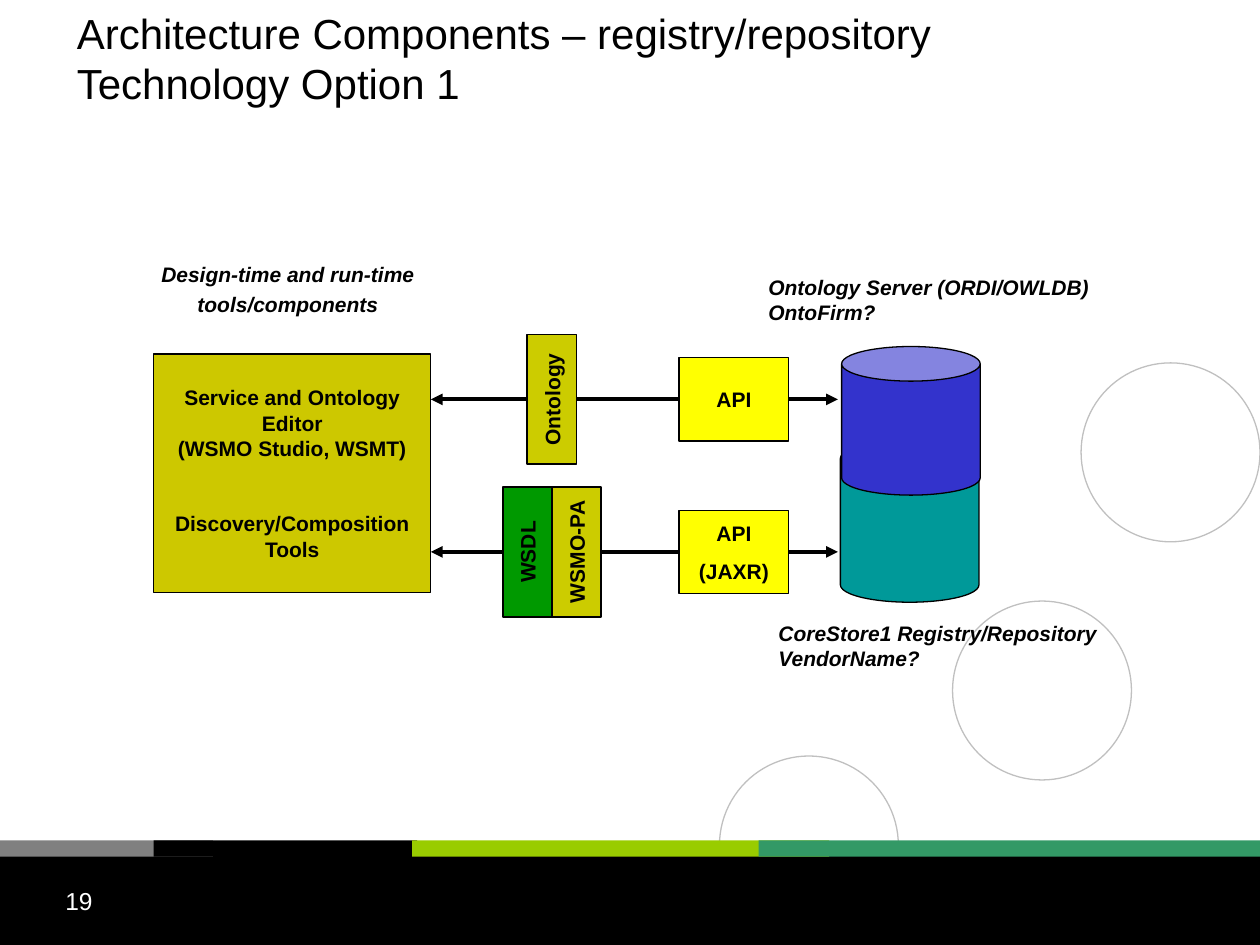
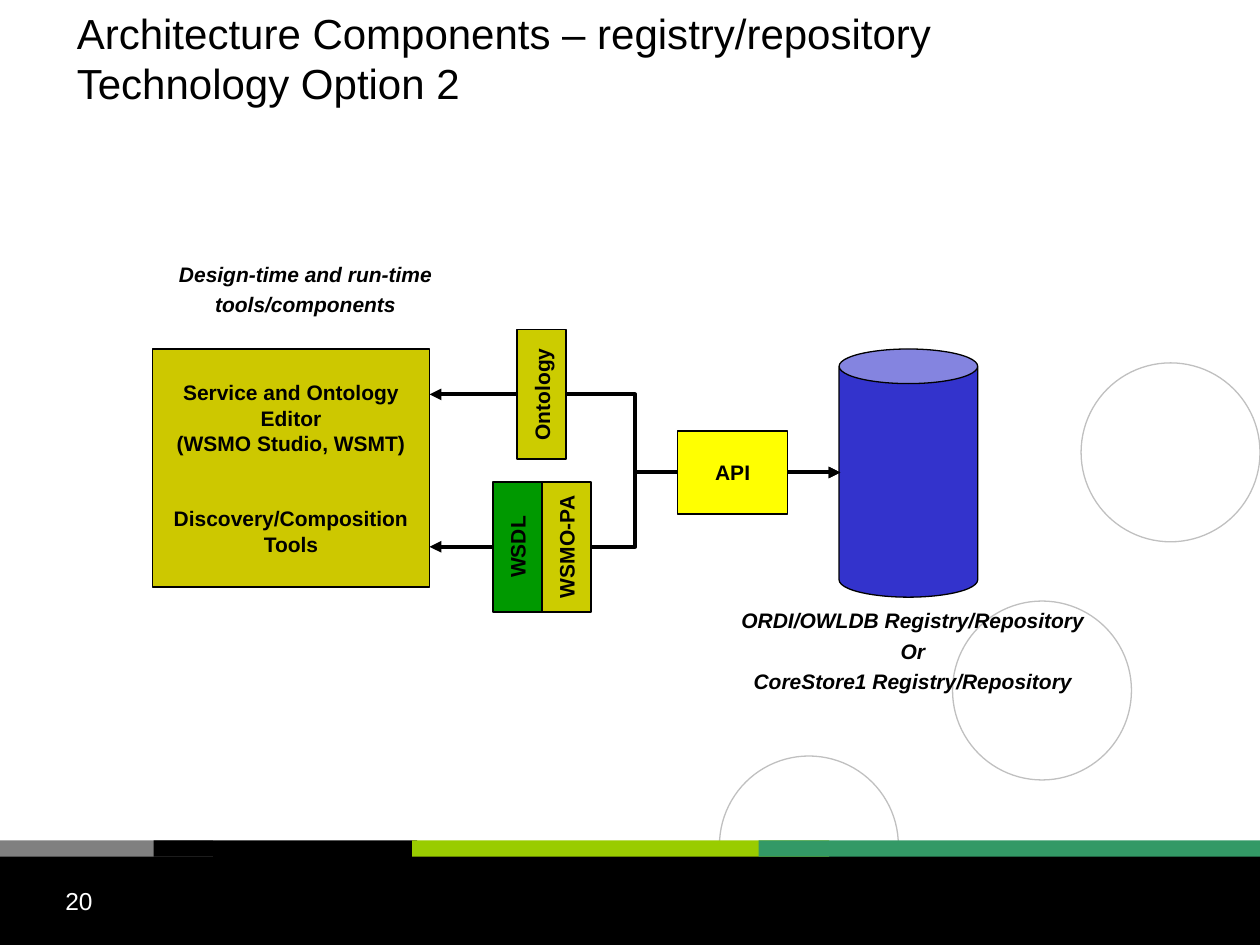
import pptx
import pptx.util
import pptx.dml.color
import pptx.enum.shapes
import pptx.enum.text
import pptx.oxml
import pptx.oxml.ns

Inches = pptx.util.Inches
Pt = pptx.util.Pt
RGBColor = pptx.dml.color.RGBColor
SHAPE = pptx.enum.shapes.MSO_SHAPE
CONNECTOR = pptx.enum.shapes.MSO_CONNECTOR
ALIGN = pptx.enum.text.PP_ALIGN
ANCHOR = pptx.enum.text.MSO_ANCHOR

BLACK = RGBColor(0x00, 0x00, 0x00)
WHITE = RGBColor(0xFF, 0xFF, 0xFF)
SILVER = RGBColor(0xC0, 0xC0, 0xC0)
GRAY = RGBColor(0x80, 0x80, 0x80)
LIME = RGBColor(0x99, 0xCC, 0x00)
SEA_GREEN = RGBColor(0x33, 0x99, 0x66)
GREEN = RGBColor(0x00, 0x99, 0x00)
OLIVE = RGBColor(0xCC, 0xCC, 0x00)
MUSTARD = RGBColor(0xCD, 0xC8, 0x00)
YELLOW = RGBColor(0xFF, 0xFF, 0x01)
BLUE = RGBColor(0x33, 0x33, 0xCC)
TEAL = RGBColor(0x00, 0x99, 0x99)

FONT = "Arial"
EDITOR_W, EDITOR_H = 2.2, 1.89
FORMAT_W, FORMAT_H = 1.03, 0.39
API_W, API_H = 0.87, 0.66
STORE_W = 1.1


def write(sp, text, size=12, color=BLACK, bold=False, italic=False,
          align=ALIGN.CENTER, anchor=ANCHOR.MIDDLE, gap=3):
    tf = sp.text_frame
    tf.word_wrap = align == ALIGN.LEFT
    tf.auto_size = pptx.enum.text.MSO_AUTO_SIZE.NONE
    tf.vertical_anchor = anchor
    for i, line in enumerate(text.split("\n")):
        p = tf.add_paragraph() if i else tf.paragraphs[0]
        p.text = line
        p.alignment = align
        p.space_before = Pt(gap if i else 0)
        for r in p.runs:
            r.font.name = FONT
            r.font.size = Pt(size)
            r.font.bold = bold
            r.font.italic = italic
            r.font.color.rgb = color


def add_shape(s, kind, x, y, w, h, fill=None, line=None, width=0.75):
    sp = s.shapes.add_shape(kind, Inches(x), Inches(y), Inches(w), Inches(h))
    sp.shadow.inherit = False
    if fill is None:
        sp.fill.background()
    else:
        sp.fill.solid()
        sp.fill.fore_color.rgb = fill
    if line is None:
        sp.line.fill.background()
    else:
        sp.line.color.rgb = line
        sp.line.width = Pt(width)
    return sp


def add_label(s, text, x, y, w=2.91, h=0.39, **style):
    sp = s.shapes.add_textbox(Inches(x), Inches(y), Inches(w), Inches(h))
    write(sp, text, **style)


def add_caption(s, text, x, y, h=0.39, align=ALIGN.CENTER):
    add_label(s, text, x, y, h=h, bold=True, italic=True, align=align)


def add_arrow(s, kind, x1, y1, x2, y2):
    c = s.shapes.add_connector(kind, Inches(x1), Inches(y1), Inches(x2), Inches(y2))
    c.line.color.rgb = BLACK
    c.line.width = Pt(2.25)
    ln = c.line._get_or_add_ln()
    for end in ("headEnd", "tailEnd"):
        ln.append(pptx.oxml.parse_xml(
            f'<a:{end} {pptx.oxml.ns.nsdecls("a")} type="triangle"/>'))
    c.element.spPr.append(pptx.oxml.parse_xml(
        f'<a:effectLst {pptx.oxml.ns.nsdecls("a")}/>'))


def add_format(s, name, cx, cy, fill):
    sp = add_shape(s, SHAPE.RECTANGLE, cx - FORMAT_W / 2, cy - FORMAT_H / 2,
                   FORMAT_W, FORMAT_H, fill, BLACK, 1)
    sp.rotation = 270
    write(sp, name, bold=True)


def add_api(s, text, x, cy):
    sp = add_shape(s, SHAPE.RECTANGLE, x, cy - API_H / 2, API_W, API_H, YELLOW, BLACK)
    write(sp, text, bold=True, gap=7.5)


def add_store(s, x, y, h, fill):
    add_shape(s, SHAPE.CAN, x, y, STORE_W, h, fill, BLACK)


def add_tools(s, x, y, format_x, ontology_y, service_y):
    editor = add_shape(s, SHAPE.RECTANGLE, x, y, EDITOR_W, EDITOR_H, MUSTARD, BLACK)
    write(editor, "Service and Ontology\vEditor\v(WSMO Studio, WSMT)\n"
                  "Discovery/Composition\vTools", bold=True, gap=28.8)
    add_format(s, "Ontology", format_x, ontology_y, OLIVE)
    add_format(s, "WSDL", format_x - FORMAT_H / 2, service_y, GREEN)
    add_format(s, "WSMO-PA", format_x + FORMAT_H / 2, service_y, OLIVE)


def style_layout(layout, s):
    title = layout.placeholders[0]
    title.left, title.top = Inches(0.51), Inches(0)
    title.width, title.height = Inches(7.83), Inches(0.92)
    decor = [add_shape(s, SHAPE.OVAL, x, y, 1.42, 1.42, line=SILVER)
             for x, y in ((5.71, 6), (7.56, 4.77), (8.58, 2.88))]
    decor.append(add_shape(s, SHAPE.RECTANGLE, 0, 6.75, 10, 0.75, BLACK))
    for x, w, fill in ((0, 1.69, GRAY), (1.22, 2.09, BLACK),
                       (3.27, 3.31, LIME), (6.02, 3.98, SEA_GREEN)):
        decor.append(add_shape(s, SHAPE.RECTANGLE, x, 6.67, w, 0.13, fill))
    for i, sp in enumerate(decor):
        sp.element.xpath(".//p:cNvPr")[0].set("id", str(100 + i))
        layout.shapes.element.insert(2 + i, sp.element)


def add_frame(s, option, number):
    write(s.shapes.title,
          f"Architecture Components – registry/repository\vTechnology Option {option}",
          size=24, align=ALIGN.LEFT)
    add_label(s, str(number), 0.42, 6.98, 2.33, 0.52, size=14, color=WHITE,
              align=ALIGN.LEFT, anchor=ANCHOR.TOP)


def build_two_stores(s):
    ontology_y, service_y = 3.17, 4.38
    add_store(s, 6.67, 3.5, 1.28, TEAL)
    add_store(s, 6.68, 2.75, 1.18, BLUE)
    for y, text in ((ontology_y, "API"), (service_y, "API\n(JAXR)")):
        add_arrow(s, CONNECTOR.STRAIGHT, 3.42, y, 6.65, y)
        add_api(s, text, 5.39, y)
    add_tools(s, 1.22, 2.81, 4.38, ontology_y, service_y)
    add_caption(s, "Design-time and run-time\ntools/components", 0.83, 2.1)
    add_caption(s, "Ontology Server (ORDI/OWLDB)\vOntoFirm?", 6, 2.18, align=ALIGN.LEFT)
    add_caption(s, "CoreStore1 Registry/Repository\vVendorName?", 6.08, 4.93,
                align=ALIGN.LEFT)


def build_shared_store(s):
    ontology_y, service_y, api_y = 3.13, 4.34, 3.75
    add_store(s, 6.66, 2.77, 1.97, BLUE)
    for y in (ontology_y, service_y):
        add_arrow(s, CONNECTOR.ELBOW, 3.41, y, 6.67, api_y)
    add_api(s, "API", 5.38, api_y)
    add_tools(s, 1.21, 2.77, 4.3, ontology_y, service_y)
    add_caption(s, "Design-time and run-time\ntools/components", 0.97, 2.1)
    add_caption(s, "ORDI/OWLDB Registry/Repository\nOr\n"
                   "CoreStore1 Registry/Repository", 5.79, 4.77, h=0.79)


def main():
    prs = pptx.Presentation()
    prs.slide_width, prs.slide_height = Inches(10), Inches(7.5)
    layout = prs.slide_layouts[5]
    for i, build in enumerate((build_two_stores, build_shared_store)):
        s = prs.slides.add_slide(layout)
        if i == 0:
            style_layout(layout, s)
        add_frame(s, i + 1, 19 + i)
        build(s)
    prs.save("out.pptx")


if __name__ == "__main__":
    main()
